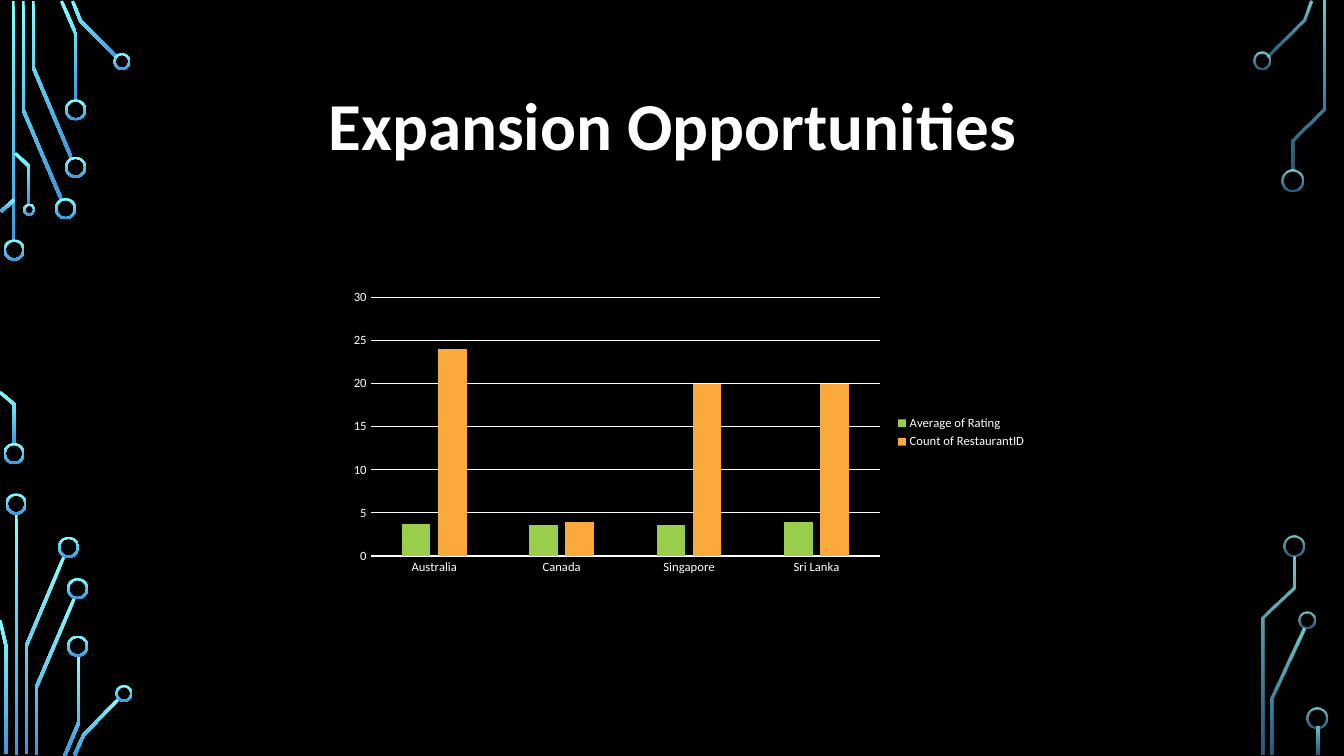
from math import hypot

from lxml.etree import SubElement
from pptx import Presentation
from pptx.chart.data import CategoryChartData
from pptx.dml.color import RGBColor
from pptx.enum.chart import XL_CHART_TYPE as CHART, XL_LEGEND_POSITION as LEGEND, XL_TICK_MARK as TICK
from pptx.enum.shapes import MSO_SHAPE as SHAPE
from pptx.enum.text import MSO_ANCHOR as ANCHOR, MSO_AUTO_SIZE as AUTO, PP_ALIGN as ALIGN
from pptx.oxml.ns import qn
from pptx.util import Inches, Pt

COLORS = {"black": "000000", "white": "FFFFFF", "cyan": "82FFFF",
          "blue": "3D97DE", "green": "9ACD4C", "orange": "FAA93A"}
FONT = "Calibri"
STROKE = 0.03
RING = 0.21
SOLID, FADED = (100, 100), (80, 60)

# Each region: left, top, opacity of both gradient ends, trace points, rings (centre x, y, diameter)
CIRCUITS = [
    (0, 0, SOLID,
     [[(0.13, 0.01), (0.13, 2.4)],
      [(0.23, 0.01), (0.23, 1.09), (0.61, 1.98)],
      [(0.33, 0.01), (0.33, 0.67), (0.71, 1.57)],
      [(0.61, 0.01), (0.75, 0.33), (0.75, 1)],
      [(0.72, 0.01), (0.8, 0.21), (1.16, 0.57)],
      [(0.01, 2.1), (0.14, 1.98)],
      [(0, 3.89), (0.14, 4.01), (0.14, 4.41)],
      [(0.15, 1.52), (0.29, 1.65), (0.29, 2.03)]],
     [(0.14, 2.48, RING), (0.14, 4.5, RING), (0.65, 2.07, RING), (0.75, 1.66, RING),
      (0.75, 1.09, RING), (1.21, 0.61, 0.17), (0.29, 2.08, 0.12)]),
    (0, 4.9, SOLID,
     [[(0.16, 0.2), (0.16, 2.59)],
      [(0.26, 2.58), (0.26, 1.51), (0.64, 0.61)],
      [(0.06, 2.58), (0.06, 1.51), (0, 1.25)],
      [(0.36, 2.59), (0.36, 1.92), (0.74, 1.03)],
      [(0.64, 2.6), (0.78, 2.27), (0.78, 1.6)],
      [(0.74, 2.59), (0.83, 2.39), (1.18, 2.03)]],
     [(0.16, 0.1, RING), (0.68, 0.53, RING), (0.77, 0.94, RING), (0.77, 1.51, RING),
      (1.23, 1.98, 0.17)]),
    (12.43, 0, FADED,
     [[(0.57, 0.01), (0.5, 0.2), (0.14, 0.56)],
      [(0.7, 0.01), (0.7, 1.08), (0.39, 1.39), (0.39, 1.69)]],
     [(0.09, 0.6, 0.17), (0.39, 1.79, RING)]),
    (12.51, 5.32, FADED,
     [[(0.11, 2.17), (0.11, 1.61), (0.42, 0.91)],
      [(0.02, 2.17), (0.02, 0.81), (0.32, 0.51), (0.32, 0.2)],
      [(0.56, 1.89), (0.56, 2.17)]],
     [(0.32, 0.1, RING), (0.45, 0.83, 0.17), (0.55, 1.8, RING)]),
]


def rgb(name):
    return RGBColor.from_string(COLORS[name])


def style_font(font, size, bold=False, color="white"):
    font.name, font.size, font.bold = FONT, Pt(size), bold
    font.color.rgb = rgb(color)


def write(tf, text, align=ALIGN.CENTER, **fmt):
    p = tf.paragraphs[0]
    p.alignment = align
    r = p.add_run()
    r.text = text
    style_font(r.font, **fmt)


def glow(sp, opacity):
    """Fill a shape from cyan at the top to blue at the bottom."""
    sp.shadow.inherit = False
    sp.line.fill.background()
    sp.fill.gradient()
    sp.fill.gradient_angle = 270
    for stop, name in zip(sp.fill.gradient_stops, ("cyan", "blue")):
        stop.color.rgb = rgb(name)
    for clr, percent in zip(sp._element.spPr.iter(qn("a:srgbClr")), opacity):
        if percent < 100:
            SubElement(clr, qn("a:alpha")).set("val", str(percent * 1000))


def band(points, width):
    """Outline of a mitred stroke that runs along the points."""
    normals = []
    for (x1, y1), (x2, y2) in zip(points, points[1:]):
        length = hypot(x2 - x1, y2 - y1)
        normals.append(((y1 - y2) / length, (x2 - x1) / length))
    one_side, other_side = [], []
    for (x, y), (ax, ay), (bx, by) in zip(points, normals[:1] + normals, normals + normals[-1:]):
        reach = width / 2 / (1 + ax * bx + ay * by)
        dx, dy = (ax + bx) * reach, (ay + by) * reach
        one_side.append((x + dx, y + dy))
        other_side.append((x - dx, y - dy))
    return one_side + other_side[::-1]


def add_circuit(s, left, top, opacity, traces, rings):
    for points in traces:
        outline = [(Inches(left + x), Inches(top + y)) for x, y in band(points, STROKE)]
        builder = s.shapes.build_freeform(*outline[0])
        builder.add_line_segments(outline[1:], close=True)
        glow(builder.convert_to_shape(), opacity)
    for x, y, d in rings:
        sp = s.shapes.add_shape(SHAPE.DONUT, Inches(left + x - d / 2), Inches(top + y - d / 2),
                                Inches(d), Inches(d))
        sp.adjustments[0] = 0.02 / d
        glow(sp, opacity)


def add_title(s, text, left, top, width, height):
    sp = s.shapes.title
    sp.left, sp.top, sp.width, sp.height = map(Inches, (left, top, width, height))
    tf = sp.text_frame
    tf.word_wrap, tf.auto_size, tf.vertical_anchor = True, AUTO.NONE, ANCHOR.TOP
    tf.margin_top = Inches(0.43)
    write(tf, text, size=47.9, bold=True)


def add_column_chart(s, left, top, width, height):
    data = CategoryChartData()
    data.categories = ["Australia", "Canada", "Singapore", "Sri Lanka"]
    data.add_series("Average of Rating", (3.7, 3.6, 3.6, 3.9))
    data.add_series("Count of RestaurantID", (24, 4, 20, 20))
    chart = s.shapes.add_chart(CHART.COLUMN_CLUSTERED, Inches(left), Inches(top),
                               Inches(width), Inches(height), data).chart
    chart.has_title = False
    style_font(chart.font, 10)

    plot = chart.plots[0]
    plot.gap_width, plot.overlap, plot.vary_by_categories = 219, -27, False
    for series, name in zip(plot.series, ("green", "orange")):
        series.format.fill.solid()
        series.format.fill.fore_color.rgb = rgb(name)

    cat, val = chart.category_axis, chart.value_axis
    for axis in (cat, val):
        axis.major_tick_mark = axis.minor_tick_mark = TICK.NONE
        style_font(axis.tick_labels.font, 9)
    val.minimum_scale, val.maximum_scale, val.major_unit = 0, 30, 5
    val.format.line.fill.background()
    for line in (cat.format.line, val.major_gridlines.format.line):
        line.color.rgb = rgb("white")
        line.width = Pt(0.75)

    chart.has_legend = True
    chart.legend.position = LEGEND.RIGHT
    chart.legend.include_in_layout = False
    style_font(chart.legend.font, 9)


def main():
    prs = Presentation()
    prs.slide_width, prs.slide_height = Inches(13.33), Inches(7.5)
    s = prs.slides.add_slide(prs.slide_layouts[5])
    s.background.fill.solid()
    s.background.fill.fore_color.rgb = rgb("black")
    for circuit in CIRCUITS:
        add_circuit(s, *circuit)
    add_title(s, "Expansion Opportunities", 2.73, 0.4, 7.88, 1.87)
    add_column_chart(s, 3.37, 2.82, 6.91, 2.94)
    prs.save("out.pptx")


if __name__ == "__main__":
    main()
